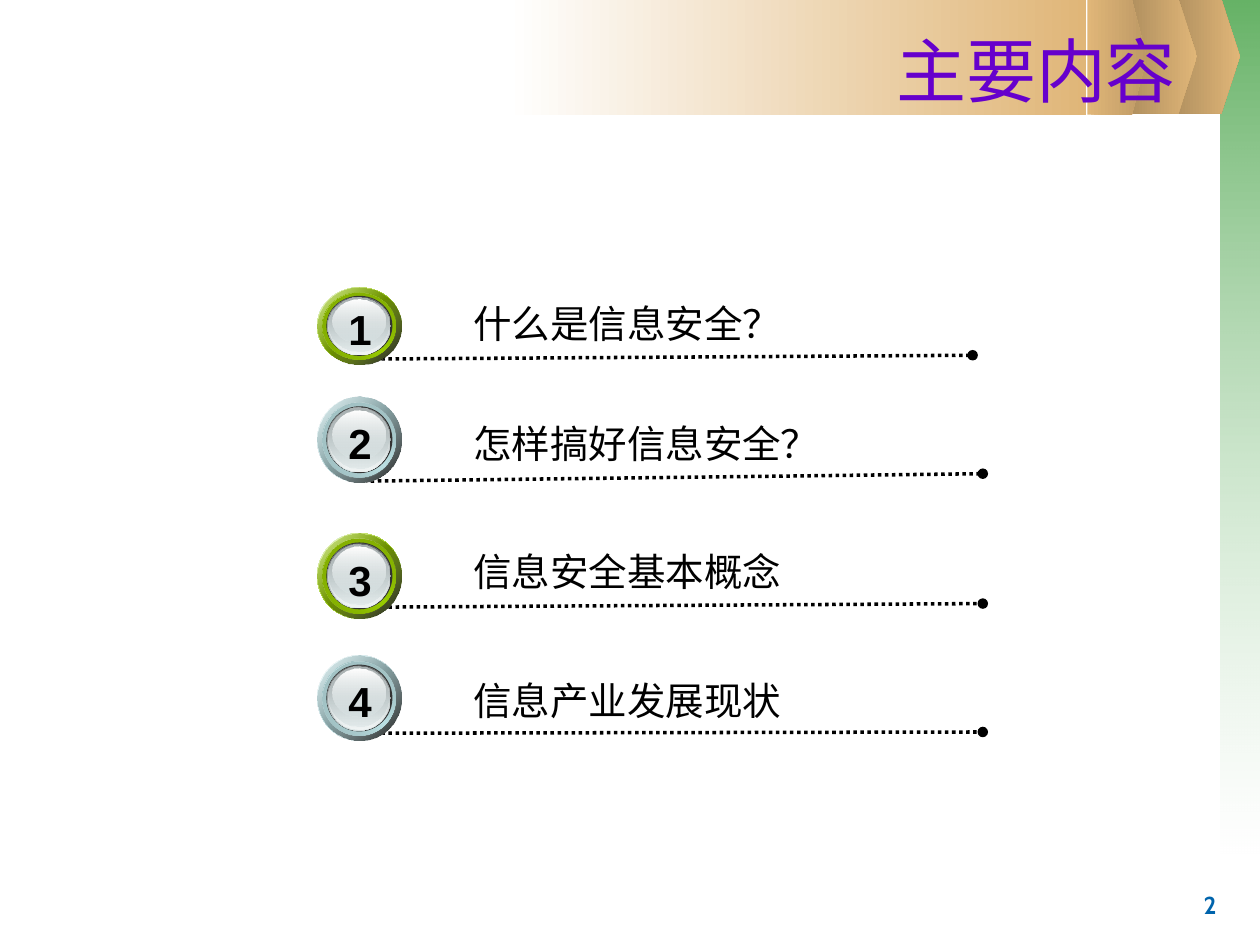
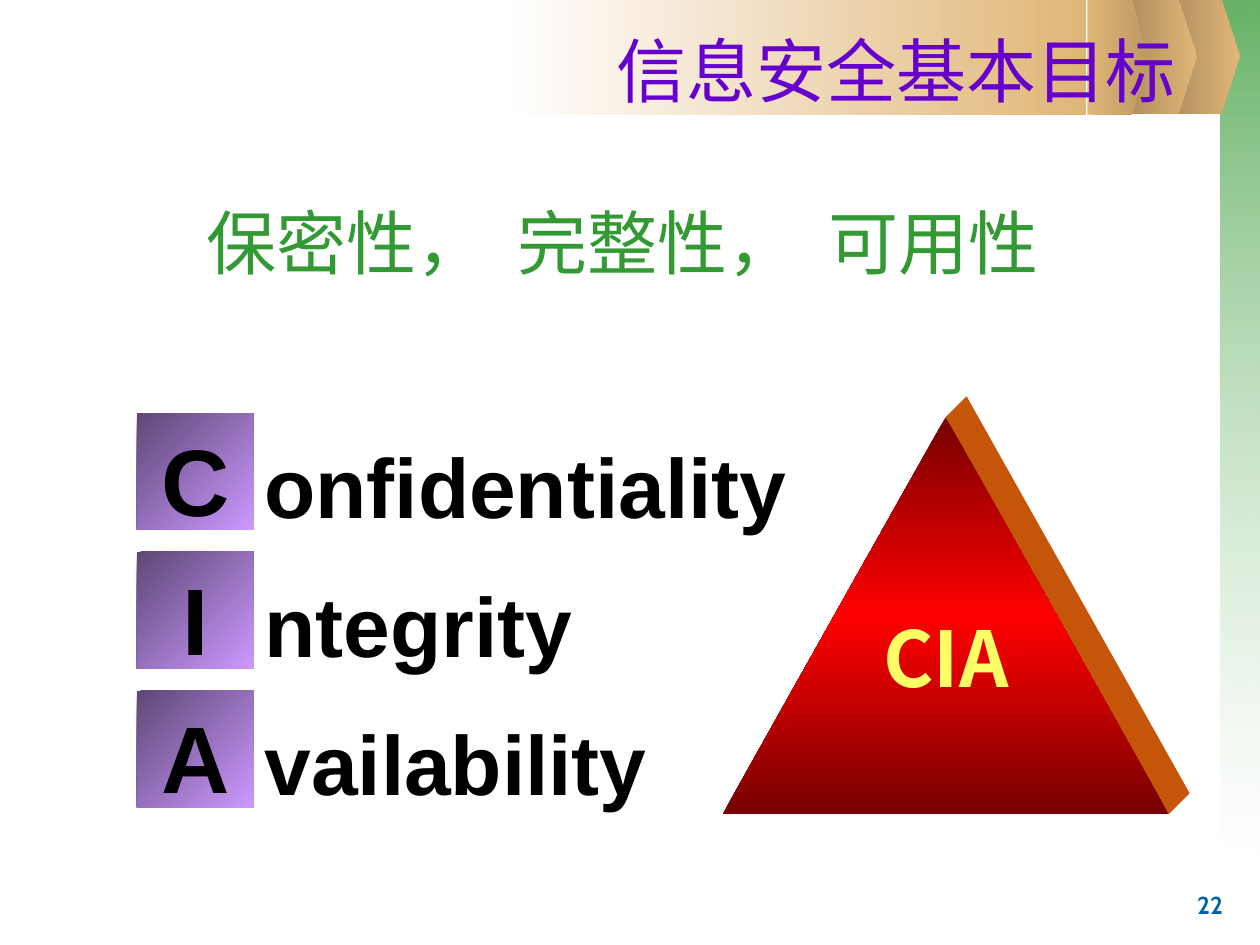
from lxml import etree
from pptx import Presentation
from pptx.dml.color import RGBColor
from pptx.enum.dml import MSO_LINE
from pptx.enum.shapes import MSO_CONNECTOR, MSO_SHAPE
from pptx.enum.text import MSO_ANCHOR, PP_ALIGN
from pptx.oxml.ns import qn
from pptx.util import Pt

RECT, PLATE = MSO_SHAPE.RECTANGLE, MSO_SHAPE.PENTAGON
OVAL, TRIANGLE = MSO_SHAPE.OVAL, MSO_SHAPE.ISOSCELES_TRIANGLE
STRAIGHT, DOTTED = MSO_CONNECTOR.STRAIGHT, MSO_LINE.ROUND_DOT
LEFT, CENTER, RIGHT = PP_ALIGN.LEFT, PP_ALIGN.CENTER, PP_ALIGN.RIGHT
MIDDLE = MSO_ANCHOR.MIDDLE

BLACK = RGBColor(0x00, 0x00, 0x00)
WHITE = RGBColor(0xFF, 0xFF, 0xFF)
GREEN = RGBColor(0x33, 0x99, 0x33)
TAN = RGBColor(0xE0, 0xB6, 0x78)
TAN_DARK = RGBColor(0xAB, 0x8B, 0x5C)
TAN_MID = RGBColor(0xBD, 0x99, 0x65)
PURPLE = RGBColor(0x66, 0x00, 0xCC)
PAGE_BLUE = RGBColor(0x00, 0x64, 0xAC)
LIME = RGBColor(0x99, 0xCC, 0x00)
LIME_DARK = RGBColor(0x75, 0x9C, 0x00)
LIME_MID = RGBColor(0x7E, 0xA7, 0x00)
TEAL = RGBColor(0xBB, 0xE0, 0xE3)
TEAL_DARK = RGBColor(0x8F, 0xAC, 0xAE)
TEAL_MID = RGBColor(0x9A, 0xB8, 0xBA)
CHARCOAL = RGBColor(0x33, 0x33, 0x33)
STEEL = RGBColor(0x63, 0x68, 0x69)
GRAY = RGBColor(0xAA, 0xB2, 0xB3)
SILVER = RGBColor(0xD6, 0xE1, 0xE2)
PALE = RGBColor(0xF1, 0xF5, 0xF5)
VIOLET_DARK = RGBColor(0x5E, 0x47, 0x76)
VIOLET = RGBColor(0xCC, 0x99, 0xFF)
RED_DARK = RGBColor(0x76, 0x00, 0x00)
RED = RGBColor(0xFF, 0x00, 0x00)
ORANGE = RGBColor(0xC5, 0x55, 0x08)
YELLOW = RGBColor(0xFF, 0xFF, 0x66)

ARIAL, CABIN = "Arial", "Cabin"
CJK_JP, CJK_SC = "Noto Sans CJK JP", "Noto Sans CJK SC"

GREEN_RING = (LIME, LIME_DARK, LIME_MID)
TEAL_RING = (TEAL, TEAL_DARK, TEAL_MID)


def set_gradient(sp, stops, angle):
    """Fill a shape with (position, colour, opacity) stops, all in percent."""
    sp.fill.background()
    spPr = sp._element.spPr
    grad = etree.Element(qn("a:gradFill"), rotWithShape="1")
    gs_list = etree.SubElement(grad, qn("a:gsLst"))
    for pos, color, opacity in stops:
        gs = etree.SubElement(gs_list, qn("a:gs"), pos=str(pos * 1000))
        clr = etree.SubElement(gs, qn("a:srgbClr"), val=str(color))
        if opacity < 100:
            etree.SubElement(clr, qn("a:alpha"), val=str(opacity * 1000))
    etree.SubElement(grad, qn("a:lin"), ang=str(angle * 60000), scaled="0")
    spPr.replace(spPr.find(qn("a:noFill")), grad)


def blend(*colors):
    """Space opaque colours evenly along a gradient."""
    step = 100 // (len(colors) - 1)
    return [(i * step, color, 100) for i, color in enumerate(colors)]


def add_shape(shapes, kind, x, y, w, h, fill, angle=0):
    """Add an unlined shape filled with one colour or a list of stops."""
    sp = shapes.add_shape(kind, Pt(x), Pt(y), Pt(w), Pt(h))
    sp.shadow.inherit = False
    sp.line.fill.background()
    if isinstance(fill, list):
        set_gradient(sp, fill, angle)
    else:
        sp.fill.solid()
        sp.fill.fore_color.rgb = fill
    return sp


def write(tf, text, size=22, font=ARIAL, color=BLACK, bold=False, align=LEFT,
          margin=7.2, top=0, wrap=True, gap=0):
    """Write one paragraph; gap widens each space by that many points."""
    tf.word_wrap = wrap
    tf.vertical_anchor = MIDDLE
    tf.margin_left = tf.margin_right = Pt(margin)
    tf.margin_top, tf.margin_bottom = Pt(top), 0
    p = tf.paragraphs[0]
    p.alignment = align
    words = text.split(" ")
    parts = [words[0]]
    for word in words[1:]:
        parts += [" ", word]
    for part in parts:
        r = p.add_run()
        r.text = part
        r.font.size, r.font.name, r.font.bold = Pt(size), font, bold
        r.font.color.rgb = color
        rPr = r.font._element
        etree.SubElement(rPr, qn("a:ea"), typeface=font)
        if part == " ":
            rPr.set("spc", str(gap * 100))


def add_text(shapes, text, x, y, w, h, **fmt):
    """Add a text box."""
    tb = shapes.add_textbox(Pt(x), Pt(y), Pt(w), Pt(h))
    write(tb.text_frame, text, **fmt)


def add_dotted_line(s, x1, y1, x2, y2):
    """Add a dotted line that ends in a dot."""
    line = s.shapes.add_connector(STRAIGHT, Pt(x1), Pt(y1), Pt(x2), Pt(y2))
    line.line.color.rgb = BLACK
    line.line.width = Pt(2)
    line.line.dash_style = DOTTED
    spPr = line._element.spPr
    etree.SubElement(spPr.find(qn("a:ln")), qn("a:tailEnd"), type="oval")
    etree.SubElement(spPr, qn("a:effectLst"))


def add_badge(s, number, y, h, label_y, ring):
    """Add a numbered button built from stacked ellipses."""
    base, dark, mid = ring
    x, w = 181.2, 48.4
    layers = [
        (0, 0, 1, 1, blend(WHITE, base, WHITE), 45),
        (0, 0, 1, 1, [(0, base, 32), (100, BLACK, 90)], 45),
        (.06, .07, .87, .87, blend(dark, base, dark), 315),
        (.06, .07, .87, .87, [(0, mid, 100), (100, base, 0)], 45),
        (.11, .11, .78, .78, CHARCOAL, 0),
        (.12, .12, .75, .76, blend(STEEL, SILVER), 90),
        (.13, .13, .73, .74, [(0, SILVER, 0), (100, PALE, 100)], 90),
        (.14, .13, .7, .7, [(0, GRAY, 100), (100, SILVER, 48)], 90),
        (.18, .16, .63, .56, [(0, WHITE, 100), (100, SILVER, 38)], 90),
    ]
    shapes = s.shapes.add_group_shape().shapes
    for dx, dy, dw, dh, fill, angle in layers:
        add_shape(shapes, OVAL, x + dx * w, y + dy * h, dw * w, dh * h,
                  fill, angle)
    add_text(shapes, number, 192.5, label_y, 26.6, 36, size=24, bold=True,
             align=CENTER, margin=0)


def add_initial(shapes, letter, rest, y):
    """Add a letter tile followed by the rest of its word."""
    tile = add_shape(shapes, RECT, 78.2, y, 66.6, 66.6,
                     blend(VIOLET_DARK, VIOLET), 45)
    write(tile.text_frame, letter, size=54, bold=True, align=CENTER,
          top=8, wrap=False)
    add_text(shapes, rest, 144, y + 8.5, 396, 64.8, size=48, bold=True)


def add_pyramid(s, x, y, w, h, depth):
    """Add a triangle with a visible right side."""
    apex, corner = (x + w / 2, y), (x + w, y + h)
    side = [apex] + [(px + depth, py - depth) for px, py in (apex, corner)]
    side.append(corner)
    points = [(Pt(px), Pt(py)) for px, py in side]
    fb = s.shapes.build_freeform(*points[0])
    fb.add_line_segments(points[1:])
    sp = fb.convert_to_shape()
    sp.shadow.inherit = False
    sp.fill.solid()
    sp.fill.fore_color.rgb = ORANGE
    sp.line.fill.background()
    add_shape(s.shapes, TRIANGLE, x, y, w, h,
              blend(RED_DARK, RED, RED_DARK), 90)


def add_slide(prs, title, page):
    """Add a slide with the shared bands, title and page number."""
    s = prs.slides.add_slide(prs.slide_layouts[6])
    add_shape(s.shapes, RECT, 697.5, 0, 22.5, 487.5,
              [(0, GREEN, 75), (100, WHITE, 37)], 90)
    bands = [
        (PLATE, 666, -.6, 42.5, TAN_DARK, TAN),
        (PLATE, 641.5, -.6, 42.5, TAN_DARK, TAN),
        (RECT, 289.5, 0, 331.2, WHITE, TAN),
        (PLATE, 621.3, 0, 34, TAN, TAN_MID),
    ]
    for kind, x, y, w, start, end in bands:
        band = add_shape(s.shapes, kind, x, y, w, 65.6, blend(start, end))
        if kind == PLATE:
            band.adjustments[0] = .25
    add_text(s.shapes, page, 663, 507, 57, 19.5, size=14, font=CABIN,
             color=PAGE_BLUE, bold=True, align=CENTER)
    add_text(s.shapes, title, 22.3, 12.2, 656.7, 55.4, size=40, font=CJK_JP,
             color=PURPLE, align=RIGHT)
    return s


def build_contents(prs):
    """Build the contents slide."""
    s = add_slide(prs, "主要内容", "2")
    lines = [
        (205.9, 205.2, 555.8, 203),
        (203.8, 275, 561.6, 270.7),
        (205.9, 347, 561.6, 344.9),
        (205.9, 419, 561.6, 418.3),
    ]
    for ends in lines:
        add_dotted_line(s, *ends)
    items = [
        ("什么是信息安全？", ARIAL, 167.8, 164.2, 44, 170),
        ("怎样搞好信息安全？", CJK_JP, 236.2, 226.8, 49, 235),
        ("信息安全基本概念", CJK_JP, 309.6, 304.6, 49, 313.2),
        ("信息产业发展现状", CJK_JP, 383, 374.4, 49, 382.5),
    ]
    for i, (text, font, text_y, y, h, label_y) in enumerate(items):
        add_badge(s, str(i + 1), y, h, label_y, (GREEN_RING, TEAL_RING)[i % 2])
        add_text(s.shapes, text, 263.5, text_y, 221, 34, font=font)


def build_goals(prs):
    """Build the slide on the three security goals."""
    s = add_slide(prs, "信息安全基本目标", "22")
    add_text(s.shapes, "保密性， 完整性， 可用性", 31.7, 84.2, 648, 108,
             size=40, font=CJK_SC, color=GREEN, align=CENTER, gap=9)
    shapes = s.shapes.add_group_shape().shapes
    words = ["Confidentiality", "Integrity", "Availability"]
    for i, word in enumerate(words):
        add_initial(shapes, word[0], word[1:], 236.2 + i * 79.2)
    add_pyramid(s, 412.9, 238.5, 254.9, 226.8, 12)
    add_text(s.shapes, "CIA", 455.5, 345.5, 170, 60, size=44, font=CJK_SC,
             color=YELLOW, bold=True, align=CENTER)


def main():
    """Build and save the presentation."""
    prs = Presentation()
    prs.slide_width, prs.slide_height = Pt(720), Pt(540)
    build_contents(prs)
    build_goals(prs)
    prs.save("out.pptx")


if __name__ == "__main__":
    main()
